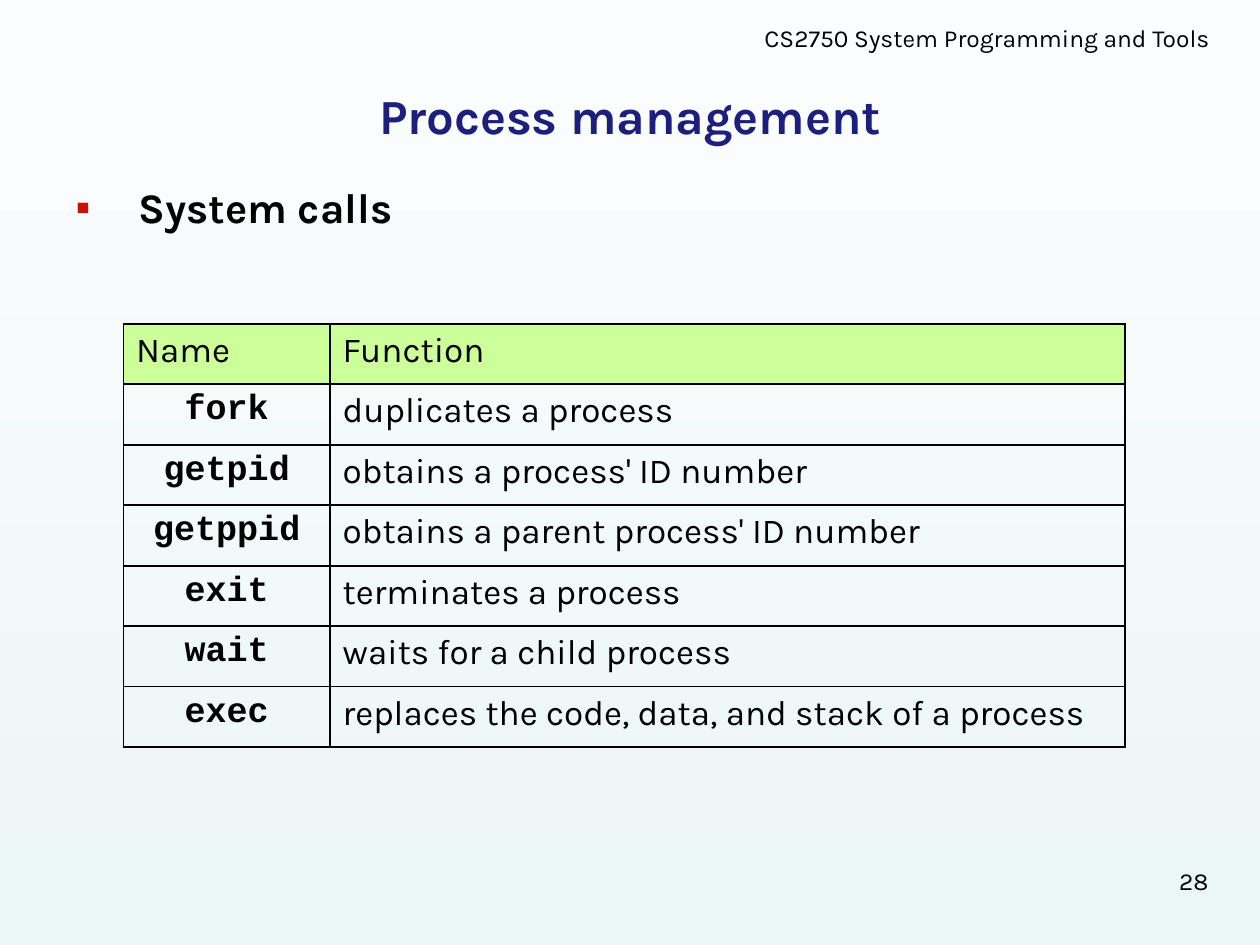
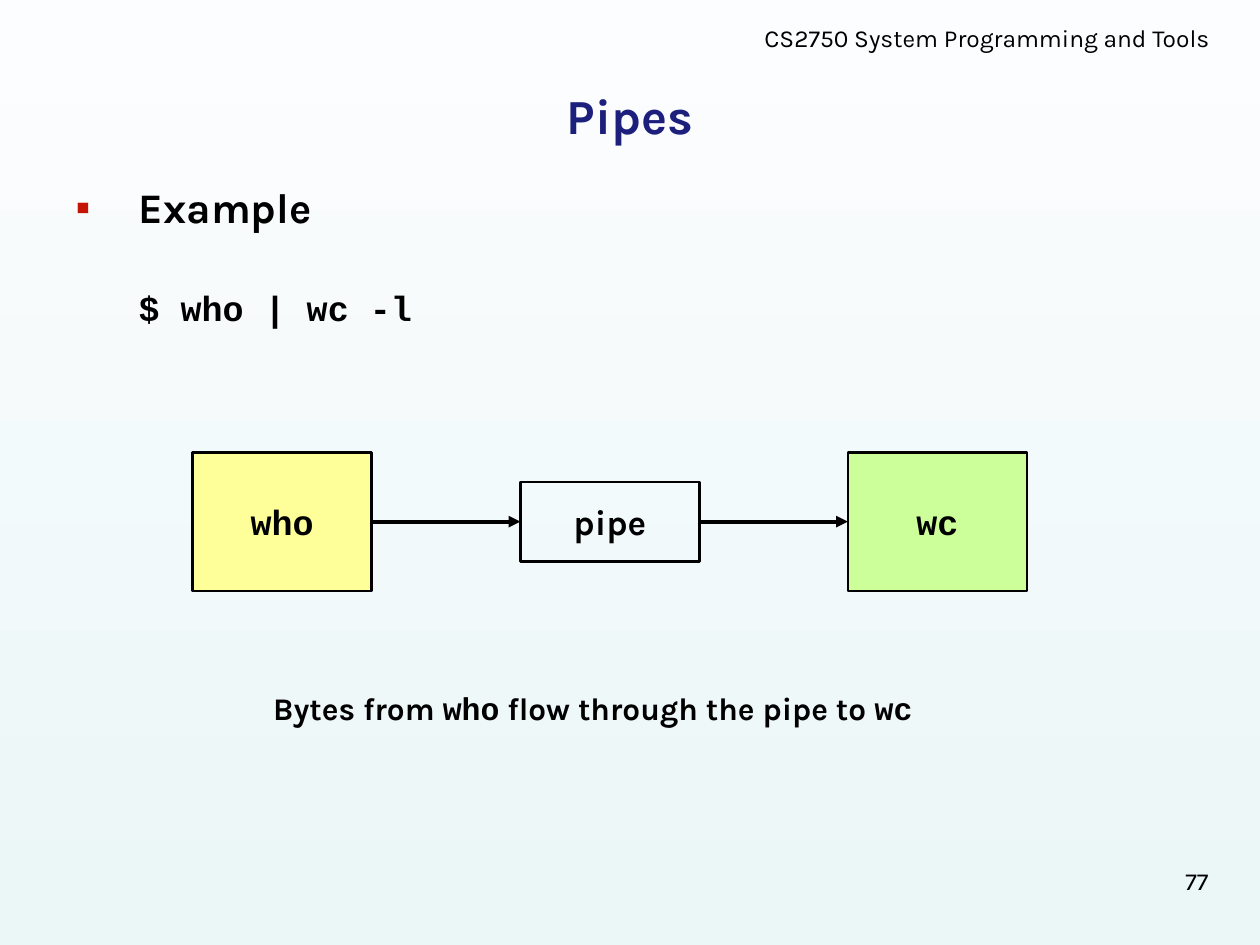
from lxml.etree import SubElement
from pptx import Presentation
from pptx.dml.color import RGBColor
from pptx.enum.shapes import MSO_CONNECTOR, MSO_SHAPE
from pptx.enum.text import MSO_ANCHOR, MSO_AUTO_SIZE, PP_ALIGN
from pptx.oxml.ns import qn
from pptx.util import Inches, Pt

# Shared look
SANS, MONO = "Karla", "Courier New"
BLACK, NAVY, RED = "000000", "1D1F7D", "C51305"
YELLOW, GREEN = "FFFF99", "CCFF99"
BACKGROUND = ("FCFDFE", "EBF6F7")
COURSE = "CS2750 System Programming and Tools"

SYSTEM_CALLS = [
    ("fork", "duplicates a process"),
    ("getpid", "obtains a process' ID number"),
    ("getppid", "obtains a parent process' ID number"),
    ("exit", "terminates a process"),
    ("wait", "waits for a child process"),
    ("exec", "replaces the code, data, and stack of a process"),
]


def color(hex_string):
    return RGBColor.from_string(hex_string)


def add_text(paragraph, text, size=20, font=SANS, ink=BLACK, bold=False,
             align=None, before=None):
    """Append a formatted run; align and before format its paragraph."""
    run = paragraph.add_run()
    run.text = text
    run.font.size = Pt(size)
    run.font.name = font
    run.font.bold = bold
    run.font.color.rgb = color(ink)
    if align is not None:
        paragraph.alignment = align
    if before is not None:
        paragraph.space_before = Pt(before)


def place(shape, left, top, width, height):
    shape.left, shape.top = Inches(left), Inches(top)
    shape.width, shape.height = Inches(width), Inches(height)


def add_textbox(slide, left, top, width, height):
    """Add a wrapping text box and return its first paragraph."""
    box = slide.shapes.add_textbox(
        Inches(left), Inches(top), Inches(width), Inches(height))
    box.text_frame.word_wrap = True
    return box.text_frame.paragraphs[0]


def set_bullet(paragraph, margin, hanging, bullet=None):
    properties = paragraph._p.get_or_add_pPr()
    properties.set("marL", str(Inches(margin)))
    properties.set("indent", str(-Inches(hanging)))
    if bullet is None:
        SubElement(properties, qn("a:buNone"))
        return
    bullet_color = SubElement(properties, qn("a:buClr"))
    SubElement(bullet_color, qn("a:srgbClr"), val=RED)
    SubElement(properties, qn("a:buChar"), char=bullet)


def set_background(master):
    fill = master.background.fill
    fill.gradient()
    fill.gradient_angle = 270
    for stop, shade, position in zip(fill.gradient_stops, BACKGROUND, (0, 1)):
        stop.color.rgb = color(shade)
        stop.position = position


def add_content_slide(presentation, title, heading, number):
    """Add a slide with header, number, title and first bullet; return it and its body."""
    slide = presentation.slides.add_slide(presentation.slide_layouts[1])
    add_text(add_textbox(slide, 5.79, 0.13, 4.09, 0.3), COURSE, size=14,
             align=PP_ALIGN.CENTER)
    add_text(add_textbox(slide, 7.36, 6.82, 2.33, 0.52), str(number), size=14,
             align=PP_ALIGN.RIGHT)

    title_shape, body_shape = slide.placeholders
    place(title_shape, 0.5, 0.6, 9, 0.63)
    title_shape.text_frame.vertical_anchor = MSO_ANCHOR.MIDDLE
    add_text(title_shape.text_frame.paragraphs[0], title, size=28, ink=NAVY,
             bold=True, align=PP_ALIGN.CENTER)

    place(body_shape, 0.5, 1.39, 9, 5.31)
    body = body_shape.text_frame
    for frame in (title_shape.text_frame, body):
        frame.auto_size = MSO_AUTO_SIZE.NONE
    add_text(body.paragraphs[0], heading, size=24, bold=True, before=6)
    set_bullet(body.paragraphs[0], 0.5, 0.5, "▪")
    return slide, body


def set_borders(cell, width=1.08):
    properties = cell._tc.get_or_add_tcPr()
    for side in ("lnL", "lnR", "lnT", "lnB"):
        line = SubElement(properties, qn(f"a:{side}"), w=str(Pt(width)))
        fill = SubElement(line, qn("a:solidFill"))
        SubElement(fill, qn("a:srgbClr"), val=BLACK)


def add_call_table(slide, header, calls):
    rows = [header, *calls]
    column_widths, row_height = (1.64, 6.31), 0.48
    table = slide.shapes.add_table(
        len(rows), len(column_widths), Inches(0.98), Inches(2.57),
        Inches(sum(column_widths)), Inches(row_height * len(rows))).table
    table.first_row = table.horz_banding = False
    for column, width in zip(table.columns, column_widths):
        column.width = Inches(width)
    for row_index, row in enumerate(rows):
        for column_index, text in enumerate(row):
            cell = table.cell(row_index, column_index)
            set_borders(cell)
            if row_index == 0:
                cell.fill.solid()
                cell.fill.fore_color.rgb = color(GREEN)
            else:
                cell.fill.background()
            is_name = row_index > 0 and column_index == 0
            add_text(cell.text_frame.paragraphs[0], text, before=5,
                     font=MONO if is_name else SANS, bold=is_name,
                     align=PP_ALIGN.CENTER if is_name else PP_ALIGN.LEFT)


def add_box(slide, text, left, middle, width, height, font=SANS, fill=None):
    """Add a labelled rectangle centred vertically on middle."""
    box = slide.shapes.add_shape(
        MSO_SHAPE.RECTANGLE, Inches(left), Inches(middle - height / 2),
        Inches(width), Inches(height))
    box.shadow.inherit = False
    if fill:
        box.fill.solid()
        box.fill.fore_color.rgb = color(fill)
    else:
        box.fill.background()
    box.line.color.rgb = color(BLACK)
    box.line.width = Pt(1.5)
    box.text_frame.word_wrap = False
    box.text_frame.vertical_anchor = MSO_ANCHOR.MIDDLE
    add_text(box.text_frame.paragraphs[0], text, font=font, bold=True,
             align=PP_ALIGN.CENTER)
    return box


def add_arrow(slide, source, target):
    """Connect the right side of source to the left side of target."""
    arrow = slide.shapes.add_connector(MSO_CONNECTOR.STRAIGHT, 0, 0, 0, 0)
    arrow.begin_connect(source, 3)
    arrow.end_connect(target, 1)
    arrow.line.color.rgb = color(BLACK)
    arrow.line.width = Pt(2.25)
    SubElement(arrow.line._get_or_add_ln(), qn("a:tailEnd"), type="triangle")
    SubElement(arrow._element.spPr, qn("a:effectLst"))


def build_process_slide(presentation):
    slide, _ = add_content_slide(
        presentation, "Process management", "System calls", 28)
    add_call_table(slide, ("Name", "Function"), SYSTEM_CALLS)


def build_pipes_slide(presentation):
    slide, body = add_content_slide(presentation, "Pipes", "Example", 77)
    command = body.add_paragraph()
    command.level = 1
    add_text(command, "$ who | wc -l", font=MONO, bold=True, before=31)
    set_bullet(command, 0.92, 0.42)

    # Data flow: who -> pipe -> wc
    left, step, middle, width = 1.53, 2.6, 4.14, 1.42
    stages = [("who", 1.1, MONO, YELLOW), ("pipe", 0.63, SANS, None),
              ("wc", 1.1, MONO, GREEN)]
    boxes = [add_box(slide, text, left + index * step, middle, width, height,
                     font, fill)
             for index, (text, height, font, fill) in enumerate(stages)]
    for source, target in zip(boxes, boxes[1:]):
        add_arrow(slide, source, target)

    # Caption
    caption = add_textbox(slide, 2.07, 5.42, 5.56, 0.4)
    for text, font in (("Bytes from ", SANS), ("who", MONO),
                       (" flow through the pipe to ", SANS), ("wc", MONO)):
        add_text(caption, text, size=18, font=font, bold=True)


def main():
    presentation = Presentation()
    presentation.slide_width = Inches(10)
    presentation.slide_height = Inches(7.5)
    set_background(presentation.slide_master)
    build_process_slide(presentation)
    build_pipes_slide(presentation)
    presentation.save("out.pptx")


if __name__ == "__main__":
    main()
